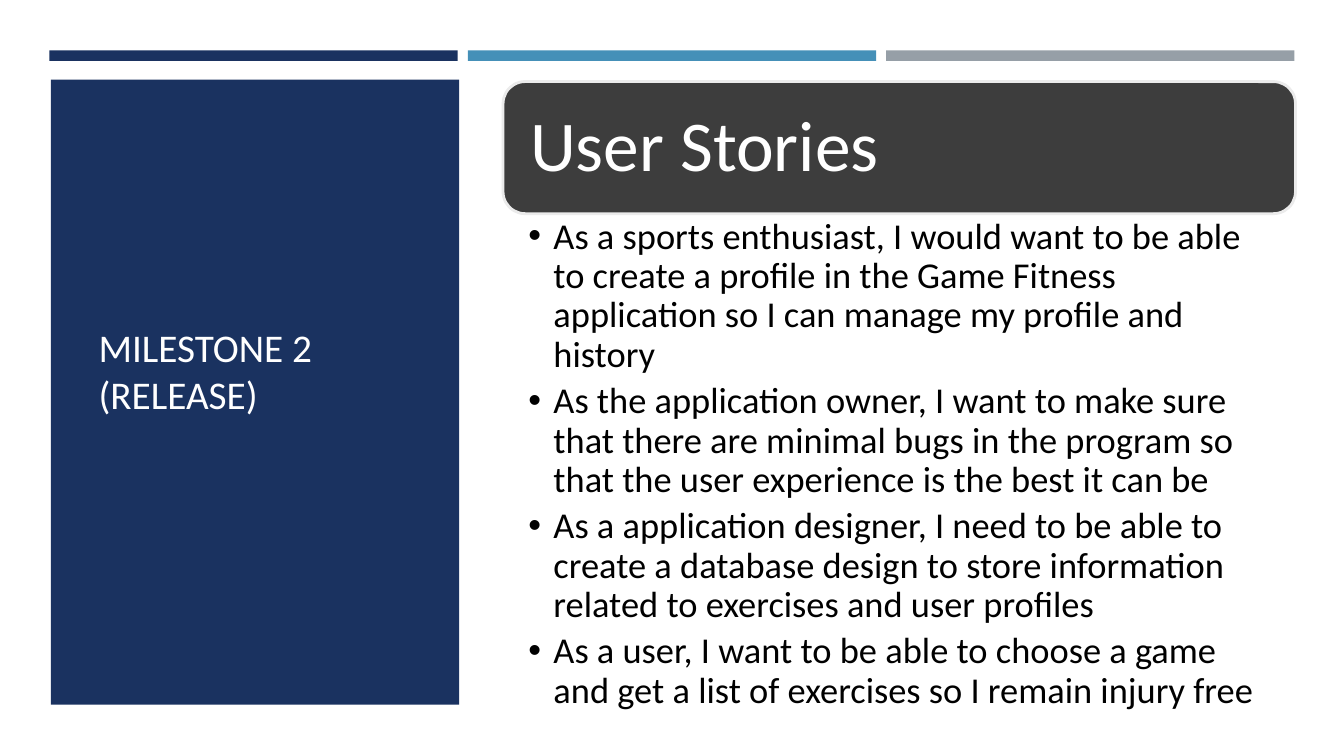
"""Build the Milestone 2 user stories slide."""
from dataclasses import dataclass

from lxml import etree
from pptx import Presentation
from pptx import util as u
from pptx.dml.color import RGBColor
from pptx.enum import shapes, text
from pptx.oxml import ns


@dataclass(frozen=True)
class Theme:
    """Colours, font and type sizes of the slide."""
    font: str = "Calibri"
    navy: str = "1A3260"
    blue: str = "4590B8"
    grey: str = "969FA7"
    charcoal: str = "3D3D3D"
    border: str = "EBEBEB"
    white: str = "FFFFFF"
    black: str = "000000"
    title: float = 28
    heading: float = 51
    story: float = 26


@dataclass(frozen=True)
class Area:
    """A rectangle in percent of the slide's width and height."""
    x: float
    y: float
    w: float
    h: float


@dataclass(frozen=True)
class Panel:
    """A filled shape with an optional border."""
    area: Area
    fill: str
    kind: shapes.MSO_SHAPE = shapes.MSO_SHAPE.RECTANGLE
    line: str = ""


@dataclass(frozen=True)
class Copy:
    """Paragraphs in a box, with insets, indent and spacing in points."""
    area: Area
    lines: tuple[str, ...]
    size: float
    colour: str
    insets: tuple[float, float, float, float]
    anchor: text.MSO_ANCHOR = text.MSO_ANCHOR.MIDDLE
    spacing: float = 0.9
    after: float = 0
    indent: float = 0


THEME = Theme()
WIDTH, HEIGHT = u.Inches(13.33), u.Inches(7.5)
BAR_LEFT, BAR_WIDTH, BAR_PITCH = 3.68, 30.38, 31.13
RIGHT_X, RIGHT_W = 37.43, 58.96

PANELS = [
    Panel(Area(0, 8, 100, 92), THEME.white),
    Panel(Area(3.78, 10.53, BAR_WIDTH, 82.67), THEME.navy),
    *(Panel(Area(BAR_LEFT + i * BAR_PITCH, 6.67, BAR_WIDTH, 1.4), colour)
      for i, colour in enumerate((THEME.navy, THEME.blue, THEME.grey))),
    Panel(Area(RIGHT_X, 10.8, RIGHT_W, 17.47), THEME.charcoal,
          shapes.MSO_SHAPE.ROUNDED_RECTANGLE, THEME.border),
]

STORIES = (
    "As a sports enthusiast, I would want to be able to create a profile in the "
    "Game Fitness application so I can manage my profile and history",
    "As the application owner, I want to make sure that there are minimal bugs in "
    "the program so that the user experience is the best it can be",
    "As a application designer, I need to be able to create a database design to "
    "store information related to exercises and user profiles",
    "As a user, I want to be able to choose a game and get a list of exercises so "
    "I remain injury free",
)

COPIES = [
    Copy(Area(6.6, 17.6, 25.36, 69.07), ("MILESTONE 2 (RELEASE)",), THEME.title,
         THEME.white, (7.2, 3.6, 7.2, 37.4), spacing=1.0),
    Copy(Area(37.88, 11.73, 57.99, 15.73), ("User Stories",), THEME.heading,
         THEME.white, (15, 15, 15, 15)),
    Copy(Area(RIGHT_X, 28.27, RIGHT_W, 64.67), STORIES, THEME.story, THEME.black,
         (18, 3, 14.4, 3), text.MSO_ANCHOR.TOP, after=5.2, indent=18),
]


def place(area: Area) -> tuple[int, int, int, int]:
    """Turn percentages into slide lengths."""
    return (round(area.x * WIDTH / 100), round(area.y * HEIGHT / 100),
            round(area.w * WIDTH / 100), round(area.h * HEIGHT / 100))


def draw_panel(s, panel: Panel) -> None:
    """Draw one filled shape."""
    sp = s.shapes.add_shape(panel.kind, *place(panel.area))
    sp.shadow.inherit = False
    sp.fill.solid()
    sp.fill.fore_color.rgb = RGBColor.from_string(panel.fill)
    if panel.line:
        sp.line.color.rgb = RGBColor.from_string(panel.line)
        sp.line.width = u.Pt(2)
    else:
        sp.line.fill.background()


def add_bullet(p, indent: float) -> None:
    """Give a paragraph a hanging bullet."""
    pr = p._p.get_or_add_pPr()
    pr.set("marL", str(u.Pt(indent)))
    pr.set("indent", str(-u.Pt(indent)))
    etree.SubElement(pr, ns.qn("a:buFont"), typeface="Arial")
    etree.SubElement(pr, ns.qn("a:buChar"), char="•")


def draw_copy(s, copy: Copy) -> None:
    """Draw one text box, a run for each paragraph."""
    tf = s.shapes.add_textbox(*place(copy.area)).text_frame
    tf.word_wrap = True
    tf.vertical_anchor = copy.anchor
    tf.margin_left, tf.margin_top, tf.margin_right, tf.margin_bottom = map(
        u.Pt, copy.insets)
    for i, line in enumerate(copy.lines):
        p = tf.add_paragraph() if i else tf.paragraphs[0]
        p.line_spacing = copy.spacing
        p.space_after = u.Pt(copy.after)
        if copy.indent:
            add_bullet(p, copy.indent)
        r = p.add_run()
        r.text = line
        r.font.name = THEME.font
        r.font.size = u.Pt(copy.size)
        r.font.color.rgb = RGBColor.from_string(copy.colour)


def main() -> None:
    """Build and save the slide."""
    prs = Presentation()
    prs.slide_width, prs.slide_height = WIDTH, HEIGHT
    s = prs.slides.add_slide(prs.slide_layouts[6])
    for panel in PANELS:
        draw_panel(s, panel)
    for copy in COPIES:
        draw_copy(s, copy)
    prs.save("out.pptx")


main()
